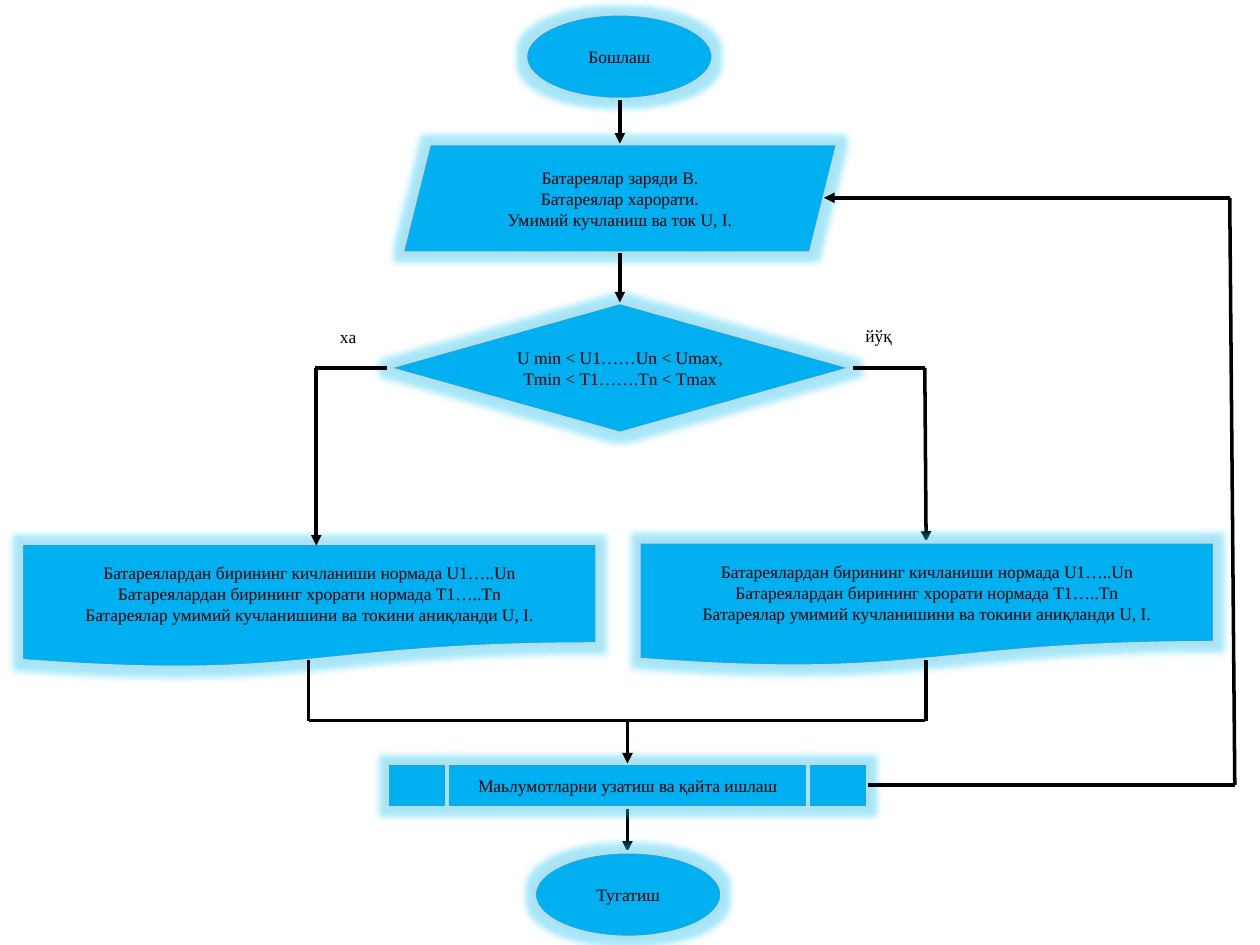
import pptx
import pptx.dml.color
import pptx.enum.shapes
import pptx.enum.text
import pptx.oxml
import pptx.oxml.ns
import pptx.util

RGBColor = pptx.dml.color.RGBColor
SHAPES = pptx.enum.shapes.MSO_SHAPE
ALIGN = pptx.enum.text.PP_ALIGN
ANCHOR = pptx.enum.text.MSO_ANCHOR

PX = 9144  # EMU per px, 100 px to the inch
BLUE = RGBColor(0x00, 0xB0, 0xF0)
PALE_BLUE = RGBColor(0xB7, 0xDE, 0xE8)
GLOW = RGBColor(0x1E, 0xC6, 0xF2)
BLACK = RGBColor(0x00, 0x00, 0x00)
FONT = "Times New Roman"
LINE_WIDTH = pptx.util.Pt(2)

BATTERY_STATUS = [
    "Батареялардан бирининг кичланиши нормада U1…..Un",
    "Батареялардан бирининг хрорати нормада Т1…..Тn",
    "Батареялар умимий кучланишини ва токини аниқланди U, I.",
]

# Kind, (left, top, width, height), lines of text
NODES = [
    (SHAPES.OVAL, (417, 11, 149, 68), ["Бошлаш"]),
    (SHAPES.PARALLELOGRAM, (319, 114, 346, 87),
     ["Батареялар заряди В.", "Батареялар харорати.", "Умимий кучланиш ва ток U, I."]),
    (SHAPES.DIAMOND, (307, 240, 370, 104),
     ["U min < U1……Un < Umax,", "Тmin < Т1…….Tn < Tmax"]),
    (SHAPES.FLOWCHART_DOCUMENT, (17, 431, 457, 100), BATTERY_STATUS),
    (SHAPES.FLOWCHART_DOCUMENT, (507, 430, 457, 100), BATTERY_STATUS),
    (SHAPES.FLOWCHART_PREDEFINED_PROCESS, (307, 606, 382, 35),
     ["Маьлумотларни узатиш ва қайта ишлаш"]),
    (SHAPES.OVAL, (424, 676, 149, 68), ["Тугатиш"]),
]

# (from x, from y, to x, to y)
ARROWS_BEHIND = [(734, 292, 735, 430), (498, 641, 498, 676)]
ARROWS = [
    (492, 79, 492, 114),
    (492, 201, 492, 240),
    (251, 292, 251, 433),
    (498, 572, 498, 606),
    (976, 157, 654, 157),
]
LINES = [
    # Branches of the decision
    (307, 292, 250, 292),
    (734, 292, 677, 292),
    # Joining of the branches
    (245, 572, 245, 524),
    (735, 572, 735, 524),
    (734, 572, 245, 572),
    # Return to the input
    (980, 623, 689, 623),
    (980, 623, 976, 157),
]
LABELS = [((260, 254, 47, 27), "xa"), ((677, 253, 80, 27), "йўқ")]


def to_emu(lengths):
    return [length * PX for length in lengths]


def add_effects(shape, content=""):
    namespace = pptx.oxml.ns.nsdecls("a")
    shape._element.spPr.append(
        pptx.oxml.parse_xml(f"<a:effectLst {namespace}>{content}</a:effectLst>"))


def write_text(text_frame, lines, alignment):
    text_frame.word_wrap = True
    text_frame.text = "\n".join(lines)
    for paragraph in text_frame.paragraphs:
        paragraph.alignment = alignment
        for run in paragraph.runs:
            run.font.name = FONT
            run.font.size = pptx.util.Pt(10)
            run.font.color.rgb = BLACK


def add_node(slide, kind, box, lines):
    shape = slide.shapes.add_shape(kind, *to_emu(box))
    shape.fill.solid()
    shape.fill.fore_color.rgb = BLUE
    shape.line.color.rgb = PALE_BLUE
    shape.line.width = LINE_WIDTH
    add_effects(shape, f'<a:glow rad="101600"><a:srgbClr val="{GLOW}">'
                       '<a:alpha val="40000"/></a:srgbClr></a:glow>')
    text_frame = shape.text_frame
    text_frame.margin_left = text_frame.margin_right = 0
    text_frame.vertical_anchor = ANCHOR.MIDDLE
    write_text(text_frame, lines, ALIGN.CENTER)


def add_line(slide, ends, arrow=False):
    connector = slide.shapes.add_connector(
        pptx.enum.shapes.MSO_CONNECTOR.STRAIGHT, *to_emu(ends))
    connector.line.color.rgb = BLACK
    connector.line.width = LINE_WIDTH
    if arrow:
        namespace = pptx.oxml.ns.nsdecls("a")
        connector.line._get_or_add_ln().append(
            pptx.oxml.parse_xml(f'<a:tailEnd {namespace} type="triangle"/>'))
    add_effects(connector)


def add_label(slide, box, text):
    label = slide.shapes.add_textbox(*to_emu(box))
    write_text(label.text_frame, [text], ALIGN.LEFT)


def main():
    presentation = pptx.Presentation()
    presentation.slide_width, presentation.slide_height = to_emu((1000, 750))
    slide = presentation.slides.add_slide(presentation.slide_layouts[6])

    # Arrows whose heads lie under the glow of their target
    for ends in ARROWS_BEHIND:
        add_line(slide, ends, arrow=True)

    # Steps of the algorithm
    for kind, box, lines in NODES:
        add_node(slide, kind, box, lines)

    # Flow between the steps
    for ends in ARROWS:
        add_line(slide, ends, arrow=True)
    for ends in LINES:
        add_line(slide, ends)

    # Answers at the decision
    for box, text in LABELS:
        add_label(slide, box, text)

    presentation.save("out.pptx")


if __name__ == "__main__":
    main()
